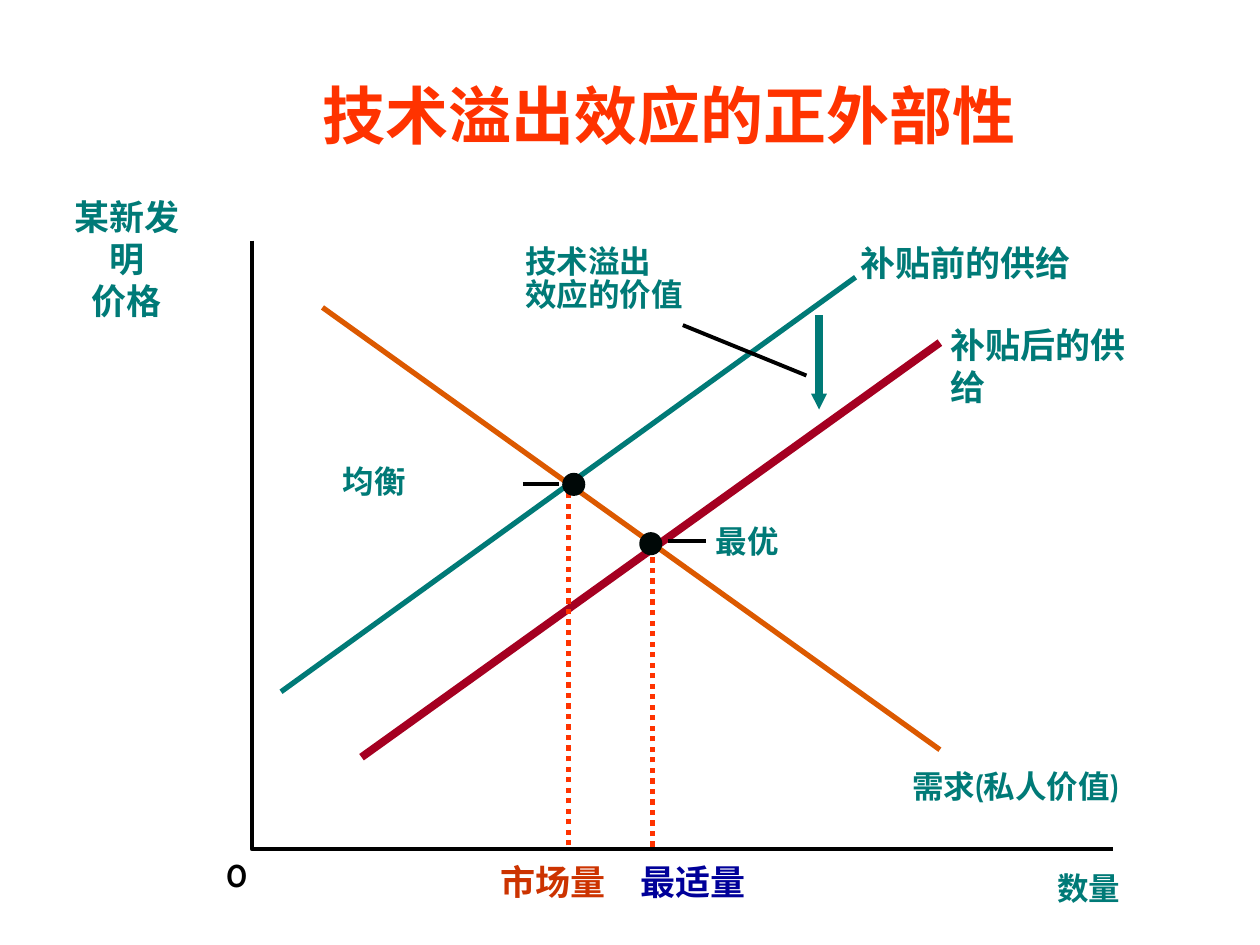
"""Build a supply and demand slide on the positive externality of technology spillovers."""
from dataclasses import dataclass
from typing import Optional

from lxml import etree
from pptx import Presentation
from pptx.dml.color import RGBColor
from pptx.enum.dml import MSO_LINE
from pptx.enum.shapes import MSO_CONNECTOR, MSO_SHAPE
from pptx.enum.text import MSO_ANCHOR, MSO_AUTO_SIZE, PP_ALIGN
from pptx.oxml.ns import qn
from pptx.util import Pt

STRAIGHT = MSO_CONNECTOR.STRAIGHT
OVAL = MSO_SHAPE.OVAL
DOTTED = MSO_LINE.ROUND_DOT
MIDDLE = MSO_ANCHOR.MIDDLE
NO_FIT, FIT_SHAPE = MSO_AUTO_SIZE.NONE, MSO_AUTO_SIZE.SHAPE_TO_FIT_TEXT
LEFT, CENTER = PP_ALIGN.LEFT, PP_ALIGN.CENTER


@dataclass(frozen=True)
class Theme:
    title_color: str = "FF3300"
    teal: str = "007A77"
    black: str = "000000"
    dot: str = "000807"
    subsidised: str = "A50021"
    demand: str = "DC5900"
    market: str = "CC3300"
    optimum: str = "000099"
    title_font: str = "Noto Sans CJK SC"
    title_latin: str = "Arial"
    label_font: str = "Cabin"
    title_size: float = 36
    large: float = 20
    small: float = 18
    thin: float = 2.25
    medium: float = 3
    thick: float = 4.5


THEME = Theme()


@dataclass(frozen=True)
class Line:
    start: tuple[float, float]
    end: tuple[float, float]
    color: str = THEME.black
    width: float = THEME.thin
    dash: Optional[MSO_LINE] = None
    arrow: bool = False


@dataclass(frozen=True)
class Label:
    lines: tuple[str, ...]
    left: float
    top: float
    width: float
    size: float = THEME.small
    color: str = THEME.teal
    align: PP_ALIGN = LEFT
    wrap: bool = False


BASELINE = 485.3
AXIS_POINTS = ((144, 137.5), (144, BASELINE), (635.8, BASELINE))
DOT_SIZE = 12.2
DOT_CENTERS = ((327.9, 276.8), (371.9, 310.7))

LINES = (
    Line((488.9, 158.4), (160.6, 395.3), THEME.teal, THEME.medium),
    Line((373, 483.8), (373, 312.5), THEME.title_color, THEME.medium, DOTTED),
    Line((537.1, 195.8), (206.6, 432.7), THEME.subsidised, THEME.thick),
    Line((184.3, 175.7), (537.1, 428.4), THEME.demand, THEME.medium),
    Line((324.7, 483.1), (324.7, 275.8), THEME.title_color, THEME.medium, DOTTED),
    Line((390.2, 185.8), (460.8, 214.6)),
    Line((468, 180), (468, 234), THEME.teal, THEME.thick, arrow=True),
    Line((298.8, 276.5), (319.7, 276.5)),
    Line((381.6, 308.9), (403.2, 308.9)),
)

LABELS = (
    Label(("数量",), 604.1, 496.8, 90, wrap=True),
    Label(("0",), 128.9, 488.9, 10, color=THEME.black),
    Label(("最适量",), 365.8, 491.8, 60.5, THEME.large, THEME.optimum),
    Label(("市场量",), 285.8, 491.8, 60.5, THEME.large, THEME.market),
    Label(("某新发明", "价格"), 32.4, 111.6, 80, THEME.large, align=CENTER),
    Label(("需求(私人价值)",), 521.3, 438.5, 133.2),
    Label(("补贴前的供给",), 491.8, 138.2, 151.2, THEME.large, wrap=True),
    Label(("补贴后的供给",), 542.9, 185, 120.2, THEME.large),
    Label(("技术溢出",), 300.2, 138.2, 72),
    Label(("效应的价值",), 300.2, 157, 90),
    Label(("均衡",), 195.8, 264.2, 36, align=CENTER),
    Label(("最优",), 409, 298.1, 36, align=CENTER),
)


def apply(target: object, values: dict) -> None:
    """Set each named attribute on the target."""
    for name, value in values.items():
        setattr(target, name, value)


def style_font(font: object, name: str, size: float, color: str) -> None:
    """Give a font its face, size, weight and colour."""
    apply(font, {"name": name, "size": Pt(size), "bold": True})
    font.color.rgb = RGBColor.from_string(color)


def add_title(slide: object) -> None:
    """Place and fill the title placeholder."""
    title = slide.shapes.title
    apply(title, {"left": Pt(76.3), "top": Pt(20.2), "width": Pt(612), "height": Pt(90)})
    apply(title.text_frame, {"vertical_anchor": MIDDLE, "auto_size": NO_FIT, "word_wrap": True})
    para = title.text_frame.paragraphs[0]
    para.alignment = CENTER
    for text, face in (("技术溢出效应", THEME.title_font), ("的正外部性", THEME.title_latin)):
        span = para.add_run()
        span.text = text
        style_font(span.font, face, THEME.title_size, THEME.title_color)


def add_axes(slide: object) -> None:
    """Draw both axes as one open outline."""
    builder = slide.shapes.build_freeform(Pt(AXIS_POINTS[0][0]), Pt(AXIS_POINTS[0][1]))
    builder.add_line_segments([(Pt(x), Pt(y)) for x, y in AXIS_POINTS[1:]], close=False)
    axes = builder.convert_to_shape()
    axes.shadow.inherit = False
    axes.fill.background()
    axes.line.color.rgb = RGBColor.from_string(THEME.black)
    axes.line.width = Pt(THEME.thin)


def add_line(slide: object, item: Line) -> None:
    """Draw a straight line, dotted or with an arrowhead on request."""
    line = slide.shapes.add_connector(STRAIGHT, *map(Pt, item.start + item.end))
    line.line.color.rgb = RGBColor.from_string(item.color)
    apply(line.line, {"width": Pt(item.width), "dash_style": item.dash})
    properties = line.element.spPr
    if item.arrow:
        outline = properties.find(qn("a:ln"))
        etree.SubElement(outline, qn("a:tailEnd"), type="triangle", w="sm", len="sm")
    etree.SubElement(properties, qn("a:effectLst"))


def add_dot(slide: object, center: tuple[float, float]) -> None:
    """Mark an intersection with a filled circle."""
    left, top = (Pt(value - DOT_SIZE / 2) for value in center)
    dot = slide.shapes.add_shape(OVAL, left, top, Pt(DOT_SIZE), Pt(DOT_SIZE))
    dot.shadow.inherit = False
    dot.fill.solid()
    dot.fill.fore_color.rgb = RGBColor.from_string(THEME.dot)
    dot.line.color.rgb = RGBColor.from_string(THEME.dot)
    dot.line.width = Pt(1)


def add_label(slide: object, label: Label) -> None:
    """Write a label in a text box without margins."""
    height = label.size * 1.2 * len(label.lines)
    box = slide.shapes.add_textbox(*map(Pt, (label.left, label.top, label.width, height)))
    frame = box.text_frame
    margins = dict.fromkeys(("margin_left", "margin_top", "margin_right", "margin_bottom"), 0)
    apply(frame, {**margins, "word_wrap": label.wrap, "auto_size": FIT_SHAPE})
    for index, text in enumerate(label.lines):
        para = frame.add_paragraph() if index else frame.paragraphs[0]
        para.alignment = label.align
        span = para.add_run()
        span.text = text
        style_font(span.font, THEME.label_font, label.size, label.color)


def main() -> None:
    """Assemble and save the deck."""
    deck = Presentation()
    apply(deck, {"slide_width": Pt(720), "slide_height": Pt(540)})
    slide = deck.slides.add_slide(deck.slide_layouts[5])
    add_title(slide)
    add_axes(slide)
    for line in LINES:
        add_line(slide, line)
    for center in DOT_CENTERS:
        add_dot(slide, center)
    for label in LABELS:
        add_label(slide, label)
    deck.save("out.pptx")


if __name__ == "__main__":
    main()
